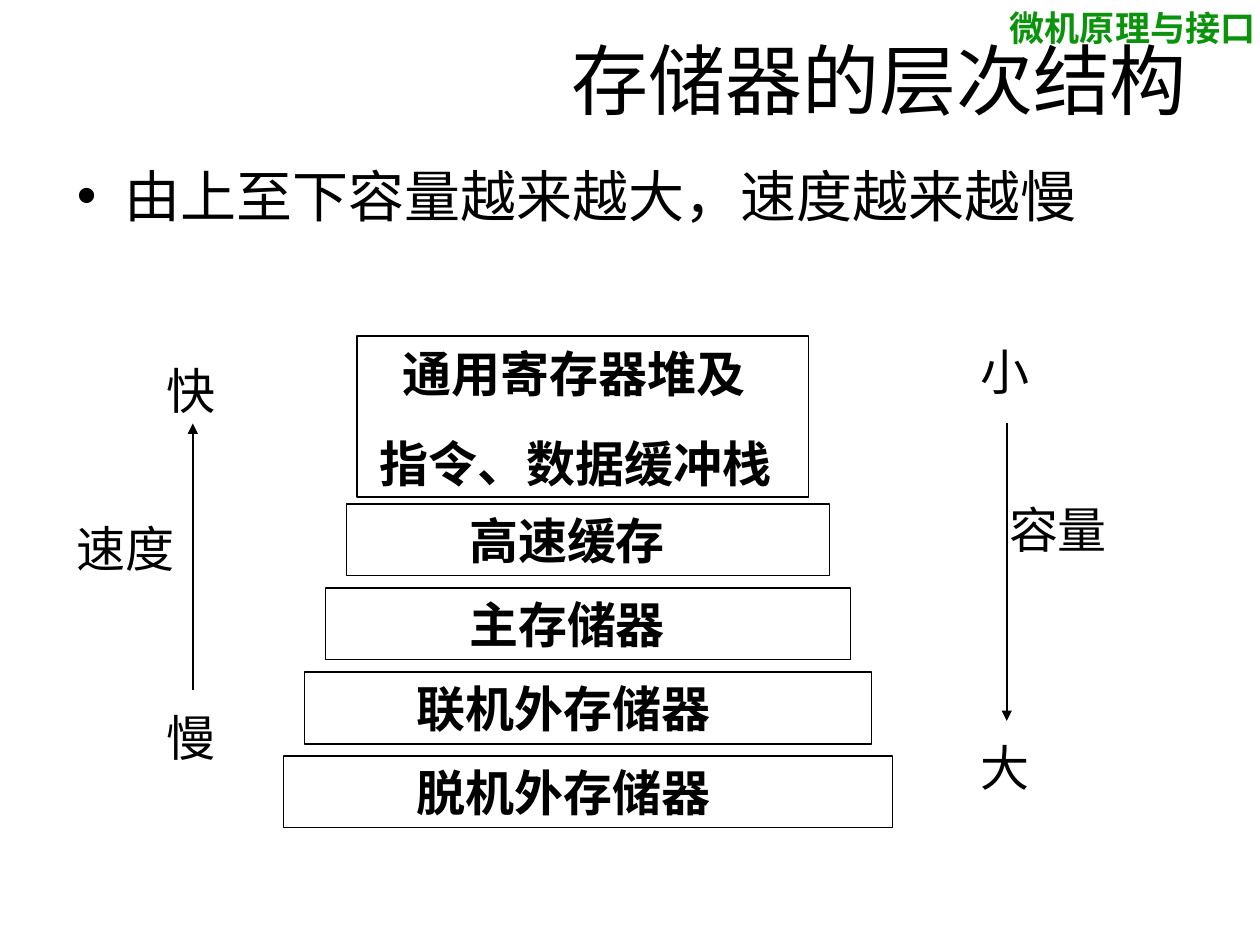
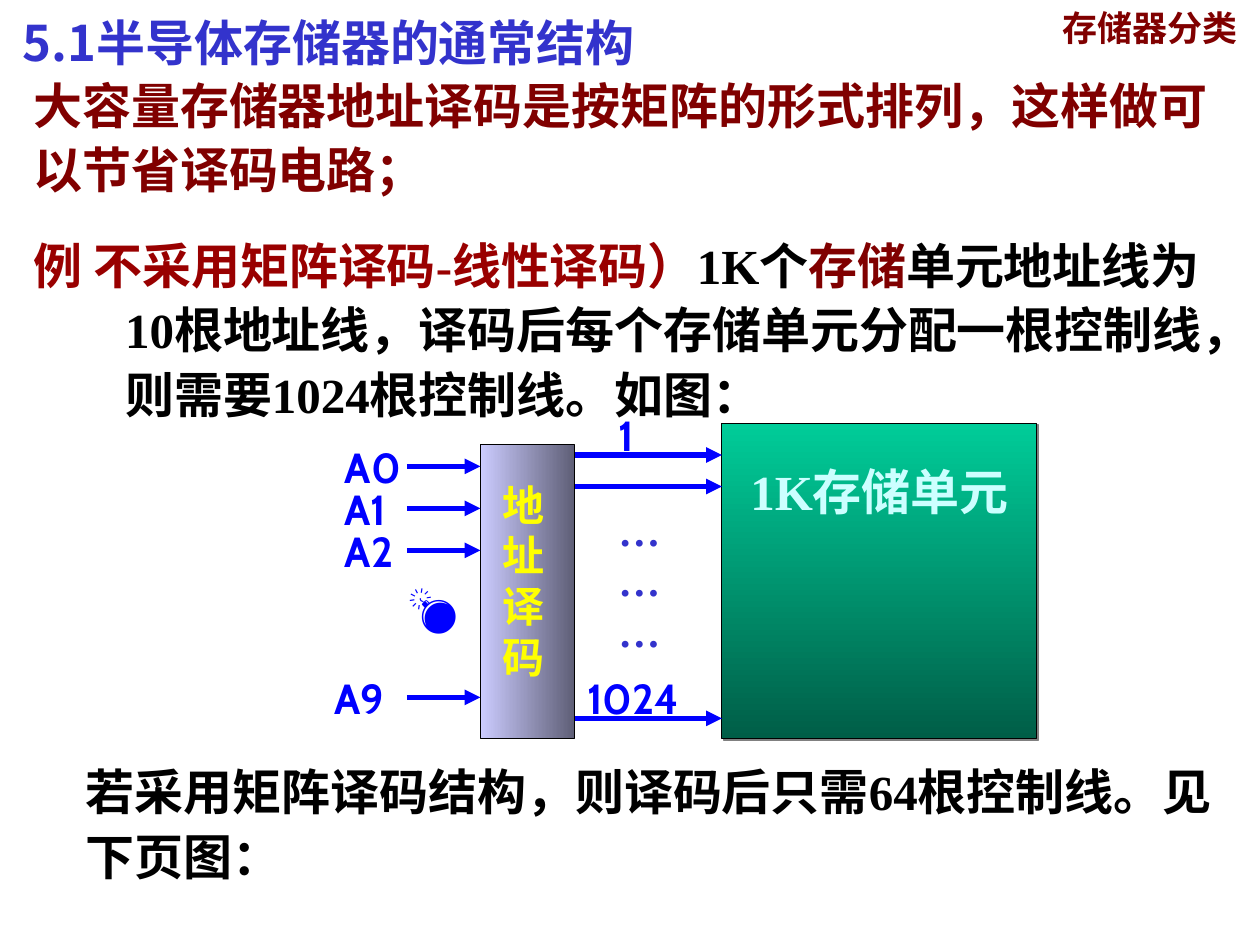
from lxml.etree import SubElement
from pptx import Presentation
from pptx.dml.color import RGBColor
from pptx.enum.shapes import MSO_CONNECTOR as Line, MSO_SHAPE as Shape
from pptx.enum.text import MSO_ANCHOR as Anchor, MSO_AUTO_SIZE as Fit, PP_ALIGN as Align
from pptx.oxml.ns import qn
from pptx.util import Pt

SERIF, SANS, HAN, LABEL = "Times New Roman", "Arial", "Noto Sans CJK SC", "Cabin"
BLACK, BLUE, INDIGO = "000000", "0000FF", "3333CC"
MAROON, RED, GREEN = "800000", "990000", "0B930B"

# Text formats
HEADER = dict(size=20, name=SERIF, color=GREEN, bold=True)
TITLE = dict(size=44, name=SERIF, color=BLACK, bold=False)
TOPIC = dict(size=20, name=HAN, color=MAROON, bold=True)
BULLET = dict(size=32, name=SERIF, color=BLACK)
LEVEL = dict(size=28, name=SERIF, color=BLACK, bold=True)
SCALE = dict(size=28, name=SANS, color=BLACK)
SIGNAL = dict(size=24, name=LABEL, color=BLUE, bold=True)

# Line pitches
LEVEL_PITCH, BODY_PITCH, SMALL_PITCH = Pt(34), Pt(37), Pt(29)


def rgb(value):
    return RGBColor.from_string(value)


def write(paragraph, *runs, **layout):
    """Add (text, format) runs to a paragraph and set its layout."""
    for key, value in layout.items():
        setattr(paragraph, key, value)
    for text, style in runs:
        run = paragraph.add_run()
        run.text = text
        for key, value in style.items():
            if key == "color":
                run.font.color.rgb = rgb(value)
            else:
                setattr(run.font, key, Pt(value) if key == "size" else value)
        east_asian = SubElement(run.font._element, qn("a:ea"))
        east_asian.set("typeface", HAN)


def indent(paragraph, left, first=0):
    props = paragraph._p.get_or_add_pPr()
    props.set("marL", str(Pt(left)))
    props.set("indent", str(Pt(first)))


def frame_of(shape, anchor=Anchor.TOP):
    frame = shape.text_frame
    frame.word_wrap = True
    frame.auto_size = Fit.NONE
    frame.vertical_anchor = anchor
    return frame


def place(placeholder, left, top, width, height, anchor=Anchor.TOP):
    """Move a placeholder and return its first paragraph."""
    placeholder.left, placeholder.top = Pt(left), Pt(top)
    placeholder.width, placeholder.height = Pt(width), Pt(height)
    return frame_of(placeholder, anchor).paragraphs[0]


def add_text(slide, box, *runs, **layout):
    text_box = slide.shapes.add_textbox(*map(Pt, box))
    paragraph = frame_of(text_box).paragraphs[0]
    write(paragraph, *runs, **layout)
    return paragraph


def add_box(slide, box, line_width, gradient=None, angle=0):
    shape = slide.shapes.add_shape(Shape.RECTANGLE, *map(Pt, box))
    shape.shadow.inherit = False
    shape.line.color.rgb = rgb(BLACK)
    shape.line.width = Pt(line_width)
    if gradient:
        shape.fill.gradient()
        shape.fill.gradient_angle = angle
        for position, (stop, color) in enumerate(zip(shape.fill.gradient_stops, gradient)):
            stop.position = position
            stop.color.rgb = rgb(color)
    else:
        shape.fill.background()
    return shape


def add_shadow(shape, color, distance):
    effects = shape._element.spPr.find(qn("a:effectLst"))
    shadow = SubElement(effects, qn("a:outerShdw"), dist=str(Pt(distance)), dir="2700000")
    SubElement(shadow, qn("a:srgbClr"), val=color)


def add_arrow(slide, x1, y1, x2, y2, color, width):
    arrow = slide.shapes.add_connector(Line.STRAIGHT, *map(Pt, (x1, y1, x2, y2)))
    arrow.line.color.rgb = rgb(color)
    arrow.line.width = Pt(width)
    SubElement(arrow.line._get_or_add_ln(), qn("a:tailEnd"), type="triangle")
    SubElement(arrow._element.spPr, qn("a:effectLst"))


def add_level(slide, box, lines):
    """A storage level: a frame with lines of (text, indent)."""
    frame = frame_of(add_box(slide, box, 1))
    for number, (text, left) in enumerate(lines):
        paragraph = frame.add_paragraph() if number else frame.paragraphs[0]
        indent(paragraph, left)
        write(paragraph, (text, LEVEL), alignment=Align.LEFT, line_spacing=LEVEL_PITCH,
              space_before=Pt(17.5 if number else 0))


def hierarchy_slide(deck):
    slide = deck.slides.add_slide(deck.slide_layouts[1])
    add_text(slide, (570, 0, 162, 32), ("微机原理与接口", HEADER))
    title, points = slide.placeholders
    write(place(title, 178.5, 20, 648, 50, Anchor.MIDDLE), ("存储器的层次结构", TITLE),
          alignment=Align.CENTER)
    point = place(points, 36.7, 88.5, 612, 324)
    indent(point, 27, -27)
    write(point, ("由上至下容量越来越大，速度越来越慢", BULLET), space_before=Pt(0))

    # Storage levels, widening downwards
    add_level(slide, (204, 192.2, 258, 92),
              [("通用寄存器堆及", 19), ("指令、数据缓冲栈", 6)])
    levels = [("高速缓存", 63), ("主存储器", 75), ("联机外存储器", 57), ("脱机外存储器", 69)]
    for row, level in enumerate(levels):
        add_level(slide, (198 - 12 * row, 288 + 48 * row, 276 + 24 * row, 41), [level])

    # Speed and capacity scales
    add_arrow(slide, 110.2, 394.5, 110.2, 242, BLACK, 1)
    add_arrow(slide, 575.3, 242, 575.3, 412, BLACK, 1)
    for text, left, top in [("快", 88, 202.3), ("慢", 88, 400.3), ("小", 553, 191),
                            ("大", 553, 417.6), ("容量", 569.5, 281.5),
                            ("速度", 36.7, 292.3)]:
        width = 45 if len(text) == 1 else 85
        add_text(slide, (left, top, width, 41), (text, SCALE), line_spacing=LEVEL_PITCH)


def decoding_slide(deck):
    slide = deck.slides.add_slide(deck.slide_layouts[5])
    write(place(slide.shapes.title, 600, 0, 132, 30), ("存储器分类", TOPIC),
          alignment=Align.LEFT)

    # Explanations
    black = dict(LEVEL)
    maroon = dict(LEVEL, name=HAN, color=MAROON)
    add_text(slide, (6, 0, 426, 45),
             ("5.1半导体存储器的通常结构", dict(LEVEL, name=HAN, color=INDIGO)),
             line_spacing=BODY_PITCH)
    add_text(slide, (12, 36, 702, 81),
             ("大容量存储器地址译码是按矩阵的形式排列，这样做可以节省译码电路；", maroon),
             line_spacing=BODY_PITCH)
    example = add_text(
        slide, (12, 127.5, 690, 118),
        ("例 不采用矩阵译码-线性译码）", dict(LEVEL, color=RED)),
        ("1K个", black), ("存储", maroon),
        ("单元地址线为10根地址线，译码后每个存储单元分配一根控制线，"
         "则需要1024根控制线。如图：", black),
        line_spacing=BODY_PITCH)
    indent(example, 52.5, -52.5)
    add_text(slide, (42, 428.5, 666, 81),
             ("若采用矩阵译码结构，则译码后只需64根控制线。见下页图：", black),
             line_spacing=BODY_PITCH)

    # Memory and decoder
    memory = add_box(slide, (412.5, 242, 180, 180), 0.75, ("00CC99", "005E47"), 270)
    add_shadow(memory, "808080", 1.4)
    add_box(slide, (274.5, 254, 54, 168), 0.75, ("CCCCFF", "5E5E76"))
    add_text(slide, (280, 270, 42, 122), ("地址译码", dict(SIGNAL, color="FFFF00")),
             line_spacing=SMALL_PITCH)
    cell = dict(LEVEL, color="CCFFFF")
    add_text(slide, (400.5, 260, 204, 41), ("1K", cell),
             ("存储单元", dict(cell, name=HAN)),
             alignment=Align.CENTER, line_spacing=LEVEL_PITCH)

    # Address lines
    for name, y, left in [("A0", 266.5, 190), ("A1", 290.5, 190), ("A2", 314.5, 190),
                          ("A9", 398.5, 184.3)]:
        add_arrow(slide, 232.5, y, 274.5, y, BLUE, 3)
        add_text(slide, (left, y - 18, 48, 36), (name, SIGNAL))
    add_text(slide, (226, 326, 48, 41), ("💣", dict(SIGNAL, size=28, name="Lato")))

    # Control lines
    for y in (260, 278, 410.5):
        add_arrow(slide, 328.5, y, 412.5, y, BLUE, 3)
    add_text(slide, (346.3, 284.4, 36, 94), ("………", dict(SIGNAL, name=SERIF, color=INDIGO)),
             line_spacing=SMALL_PITCH)
    add_text(slide, (346.3, 230.4, 30, 36), ("1", SIGNAL))
    add_text(slide, (328.5, 380.5, 78, 36), ("1024", SIGNAL))


def main():
    deck = Presentation()
    deck.slide_width, deck.slide_height = Pt(720), Pt(540)
    hierarchy_slide(deck)
    decoding_slide(deck)
    deck.save("out.pptx")


if __name__ == "__main__":
    main()
